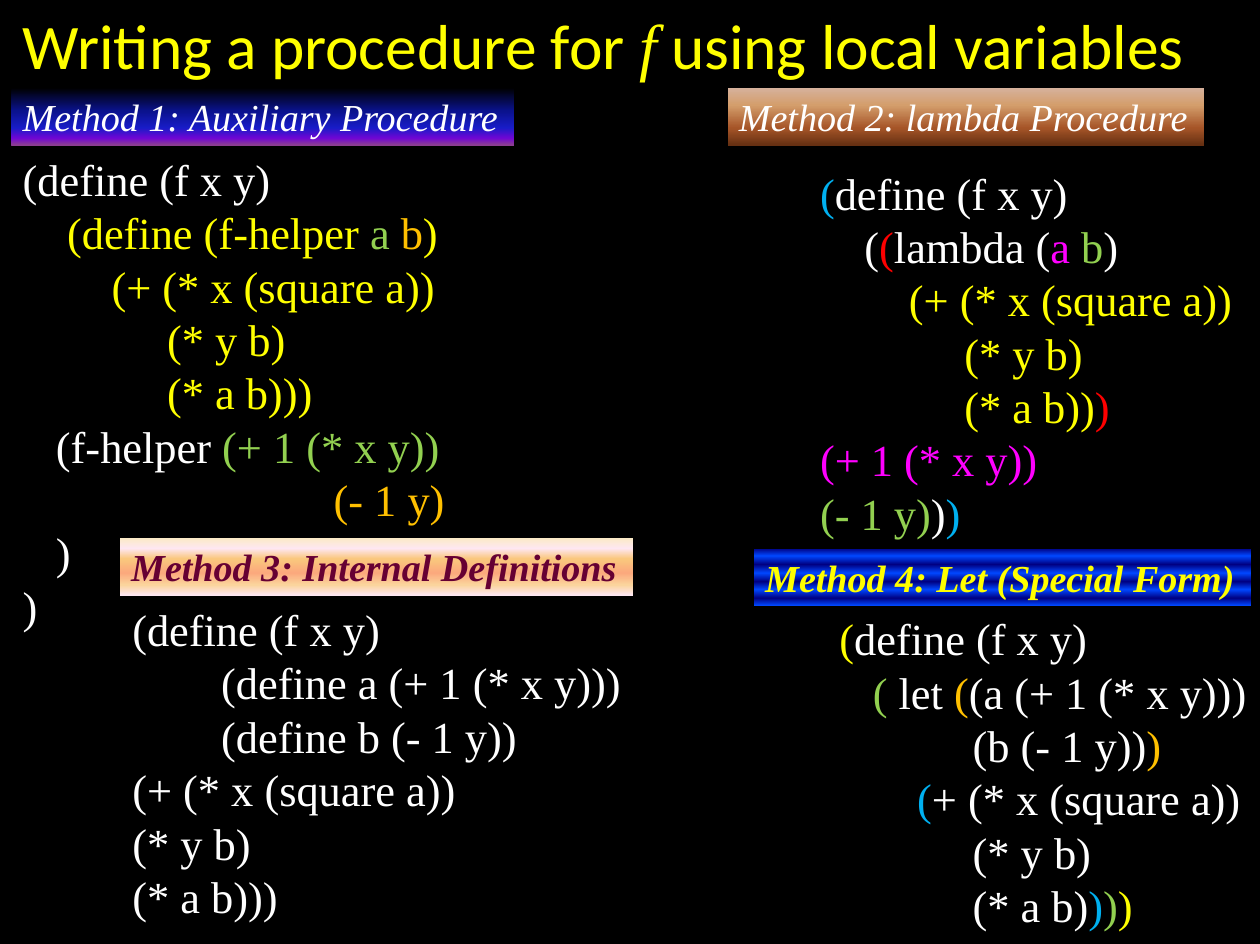
from lxml import etree
from pptx import Presentation
from pptx.dml.color import RGBColor
from pptx.enum.shapes import MSO_SHAPE
from pptx.enum.text import MSO_ANCHOR, PP_ALIGN
from pptx.oxml.ns import qn
from pptx.util import Inches, Pt

RECT = MSO_SHAPE.RECTANGLE
TOP = MSO_ANCHOR.TOP
LEFT = PP_ALIGN.LEFT

BLACK = RGBColor(0x00, 0x00, 0x00)
WHITE = RGBColor(0xFF, 0xFF, 0xFF)
YELLOW = RGBColor(0xFF, 0xFF, 0x00)
GREEN = RGBColor(0x92, 0xD0, 0x50)
AMBER = RGBColor(0xFF, 0xC0, 0x00)
BLUE = RGBColor(0x00, 0xB0, 0xF0)
RED = RGBColor(0xFF, 0x00, 0x00)
PINK = RGBColor(0xFF, 0x00, 0xFF)
WINE = RGBColor(0x66, 0x00, 0x33)

NIGHT = [(0, "000000"), (40, "0A128C"), (70, "181CC7"), (88, "7005D4"), (100, "8C3D91")]
WOOD = [(0, "D6B19C"), (30, "D49E6C"), (70, "A65528"), (100, "663012")]
PEACH = [(0, "FBEAC7"), (18, "FEE7F2"), (36, "FAC77D"),
         (61, "FBA97D"), (82, "FBD49C"), (100, "FEE7F2")]
WAVES = [(stop, ("000082", "0047FF")[i % 2])
         for i, stop in enumerate((0, 13, 28, 43, 58, 72, 87, 100))]


class Board:
    """Holds the style and the current slide, and adds each kind of element."""

    serif = "Times New Roman"
    sans = "Calibri"
    step = Pt(7)

    def __init__(self, deck):
        self.slide = deck.slides.add_slide(deck.slide_layouts[6])
        fill = self.slide.background.fill
        fill.solid()
        fill.fore_color.rgb = BLACK

    def box(self, *place):
        frame = self.slide.shapes.add_textbox(*map(Inches, place)).text_frame
        frame.word_wrap = True
        return frame

    def title(self, spans, *place):
        para = self.box(*place).paragraphs[0]
        para.font.size = Pt(40)
        para.font.color.rgb = YELLOW
        for text, italic in spans:
            run = para.add_run()
            run.text = text
            run.font.name = self.serif if italic else self.sans
            run.font.italic = italic

    def code(self, lines, *place):
        frame = self.box(*place)
        for i, (indent, *spans) in enumerate(lines):
            para = frame.add_paragraph() if i else frame.paragraphs[0]
            para.font.name = self.serif
            para.font.size = Pt(28)
            para.font.color.rgb = spans[0][1]
            para._p.get_or_add_pPr().set("marL", str(indent * self.step))
            for text, color in spans:
                run = para.add_run()
                run.text = text
                if color != spans[0][1]:
                    run.font.color.rgb = color

    def label(self, text, color, stops, bold, *place):
        shape = self.slide.shapes.add_shape(RECT, *map(Inches, place))
        shape.shadow.inherit = False
        shape.line.fill.background()
        shape.fill.gradient()
        shape.fill.gradient_angle = 270
        ramp = shape.element.spPr.find(qn("a:gradFill")).find(qn("a:gsLst"))
        ramp[:] = []
        for stop, shade in stops:
            mark = etree.SubElement(ramp, qn("a:gs"), pos=str(stop * 1000))
            etree.SubElement(mark, qn("a:srgbClr"), val=shade)
        frame = shape.text_frame
        frame.word_wrap = False
        frame.vertical_anchor = TOP
        para = frame.paragraphs[0]
        para.text = text
        para.alignment = LEFT
        font = para.font
        font.name, font.size = self.serif, Pt(24)
        font.bold, font.italic = bold, True
        font.color.rgb = color


HELPER = [
    (0, ("(define (f x y)", WHITE)),
    (4, ("(define (f-helper ", YELLOW), ("a ", GREEN), ("b", AMBER), (")", YELLOW)),
    (8, ("(+ (* x (square a))", YELLOW)),
    (13, ("(* y b)", YELLOW)),
    (13, ("(* a b)))", YELLOW)),
    (3, ("(f-helper ", WHITE), ("(+ 1 (* x y))", GREEN)),
    (28, ("(- 1 y)", AMBER)),
    (3, (")", WHITE)),
    (0, (")", WHITE)),
]
LAMBDA = [
    (0, ("(", BLUE), ("define (f x y)", WHITE)),
    (4, ("(", WHITE), ("(", RED), ("lambda (", WHITE),
     ("a ", PINK), ("b", GREEN), (")", WHITE)),
    (8, ("(+ (* x (square a))", YELLOW)),
    (13, ("(* y b)", YELLOW)),
    (13, ("(* a b))", YELLOW), (")", RED)),
    (0, ("(+ 1 (* x y))", PINK)),
    (0, ("(- 1 y)", GREEN), (")", WHITE), (")", BLUE)),
]
INNER = [
    (0, ("(define (f x y)", WHITE)),
    (8, ("(define a (+ 1 (* x y)))", WHITE)),
    (8, ("(define b (- 1 y))", WHITE)),
    (0, ("(+ (* x (square a))", WHITE)),
    (0, ("(* y b)", WHITE)),
    (0, ("(* a b)))", WHITE)),
]
LET = [
    (0, ("(", YELLOW), ("define (f x y)", WHITE)),
    (3, ("( ", GREEN), ("let ", WHITE), ("(", AMBER), ("(a (+ 1 (* x y)))", WHITE)),
    (12, ("(b (- 1 y))", WHITE), (")", AMBER)),
    (7, ("(", BLUE), ("+ (* x (square a))", WHITE)),
    (12, ("(* y b)", WHITE)),
    (12, ("(* a b)", WHITE), (")", BLUE), (")", GREEN), (")", YELLOW)),
]

deck = Presentation()
deck.slide_width = Inches(11.03)
deck.slide_height = Inches(8.26)

board = Board(deck)
board.title([("Writing a procedure for ", False), ("f", True),
             (" using local variables", False)], 0.1, 0, 10.83, 0.77)
board.code(HELPER, 0.1, 1.28, 3.91, 4.34)
board.label("Method 1: Auxiliary Procedure", WHITE, NIGHT, False, 0.1, 0.77, 4.4, 0.5)
board.label("Method 2: lambda Procedure", WHITE, WOOD, False, 6.37, 0.77, 4.17, 0.5)
board.code(LAMBDA, 7.08, 1.4, 3.85, 3.4)
board.code(LET, 7.25, 5.3, 3.78, 2.93)
board.label("Method 4: Let (Special Form)", YELLOW, WAVES, True, 6.6, 4.8, 4.35, 0.5)
board.code(INNER, 1.06, 5.22, 4.48, 2.93)
board.label("Method 3: Internal Definitions", WINE, PEACH, True, 1.05, 4.71, 4.49, 0.5)

deck.save("out.pptx")
